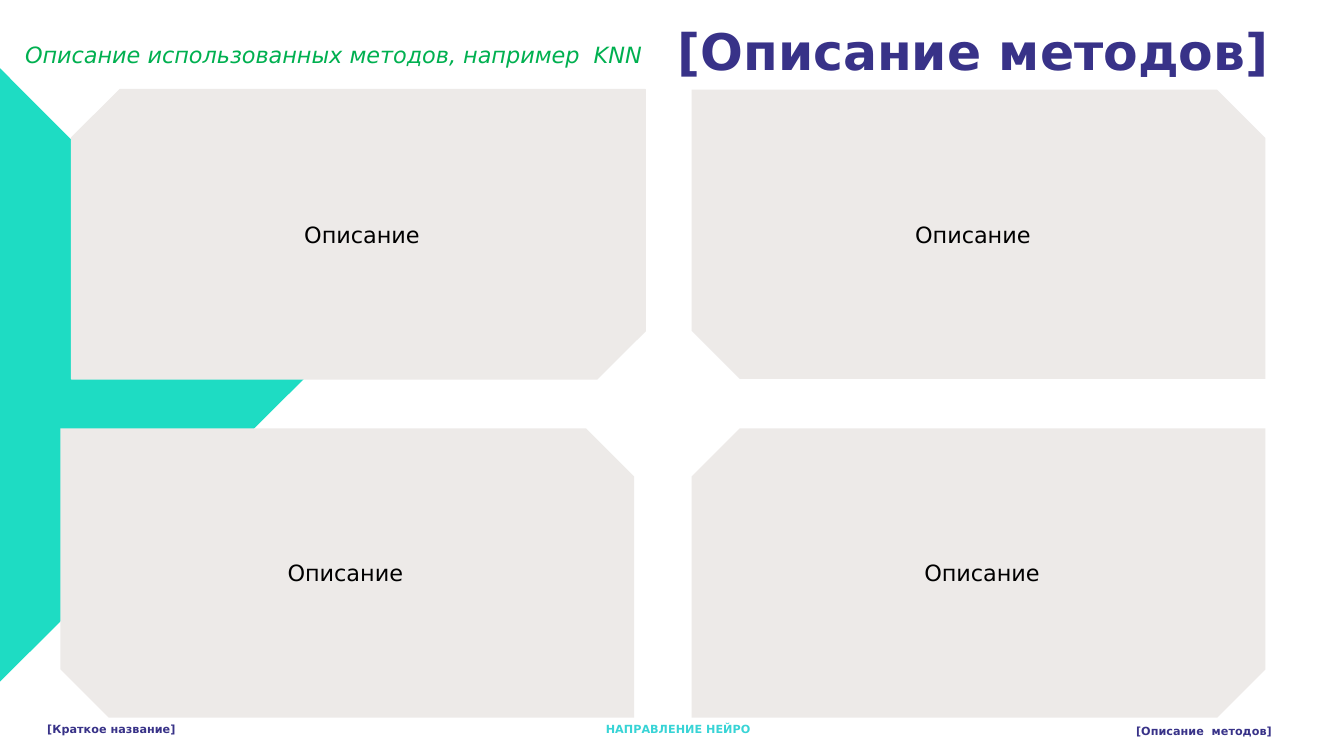
import pptx
import pptx.util
import pptx.dml.color
import pptx.enum.shapes
import pptx.enum.text

Inches = pptx.util.Inches
RGBColor = pptx.dml.color.RGBColor
Shape = pptx.enum.shapes.MSO_SHAPE
Align = pptx.enum.text.PP_ALIGN

TEAL = RGBColor(0x1E, 0xDC, 0xC3)
CYAN = RGBColor(0x38, 0xD4, 0xD6)
INDIGO = RGBColor(0x38, 0x32, 0x88)
GREEN = RGBColor(0x00, 0xB0, 0x50)
GREY = RGBColor(0xED, 0xEA, 0xE8)
BLACK = RGBColor(0, 0, 0)
FONT = "DejaVu Sans"
SNIP = 0.16667


def add_text(slide, text, box, size=16, color=BLACK, bold=False,
             italic=False, align=Align.LEFT):
    frame = slide.shapes.add_textbox(*map(Inches, box)).text_frame
    frame.word_wrap = True
    para = frame.paragraphs[0]
    para.alignment = align
    run = para.add_run()
    run.text = text
    font = run.font
    font.name, font.size = FONT, pptx.util.Pt(size)
    font.bold, font.italic = bold, italic
    font.color.rgb = color


def add_shape(slide, kind, box, fill):
    shape = slide.shapes.add_shape(kind, *map(Inches, box))
    shape.shadow.inherit = False
    shape.fill.solid()
    shape.fill.fore_color.rgb = fill
    shape.line.fill.background()
    return shape


def add_arrow(slide, box):
    """Large triangle pointing right from the left edge."""
    add_shape(slide, Shape.RIGHT_TRIANGLE, box, TEAL).rotation = 225.1


def add_head(slide, left, top):
    add_text(slide, "Описание использованных методов, например  KNN",
             (left, top + 0.21, 8.13, 0.37), color=GREEN, italic=True)
    add_text(slide, "[Описание методов]", (left + 6.47, top, 7.41, 0.71),
             size=36, color=INDIGO, bold=True)


def add_card(slide, box, falling, inset, width):
    """Card cut at two opposite corners; falling cuts top left and bottom right."""
    left, top = box[:2]
    card = add_shape(slide, Shape.SNIP_2_DIAG_RECTANGLE, box, GREY)
    card.adjustments[0] = SNIP if falling else 0
    card.adjustments[1] = 0 if falling else SNIP
    add_text(slide, "Описание", (left + inset, top + 1.25, width, 0.37),
             align=Align.CENTER)
    return card


def add_cards(slide, top):
    size, step = (5.69, 2.87), 3.36
    cards = [
        (0.71, 0, True, 0.59, 4.58),
        (6.86, 0, False, 0.49, 4.6),
        (0.6, 1, False, 0.53, 4.59),
        (6.86, 1, True, 0.67, 4.42),
    ]
    made = [add_card(slide, (left, top + row * step, *size), *rest)
            for left, row, *rest in cards]
    line = made[0].line
    line.color.rgb = GREY
    line.width = pptx.util.Pt(1)


def add_foot(slide, top):
    notes = [
        ("[Краткое название]", 0.37, 0, 1.98, INDIGO),
        ("НАПРАВЛЕНИЕ НЕЙРО", 5.91, 0, 1.71, CYAN),
        ("[Описание  методов]", 11.17, 0.02, 1.6, INDIGO),
    ]
    for text, left, drop, width, color in notes:
        add_text(slide, text, (left, top + drop, width, 0.24),
                 size=8, color=color, bold=True)


def main():
    deck = pptx.Presentation()
    deck.slide_width, deck.slide_height = Inches(13.33), Inches(7.5)
    slide = deck.slides.add_slide(deck.slide_layouts[6])
    add_arrow(slide, (-2.16, 1.57, 4.31, 4.31))
    add_head(slide, 0.15, 0.15)
    add_cards(slide, 0.89)
    add_foot(slide, 7.12)
    deck.save("out.pptx")


if __name__ == "__main__":
    main()
